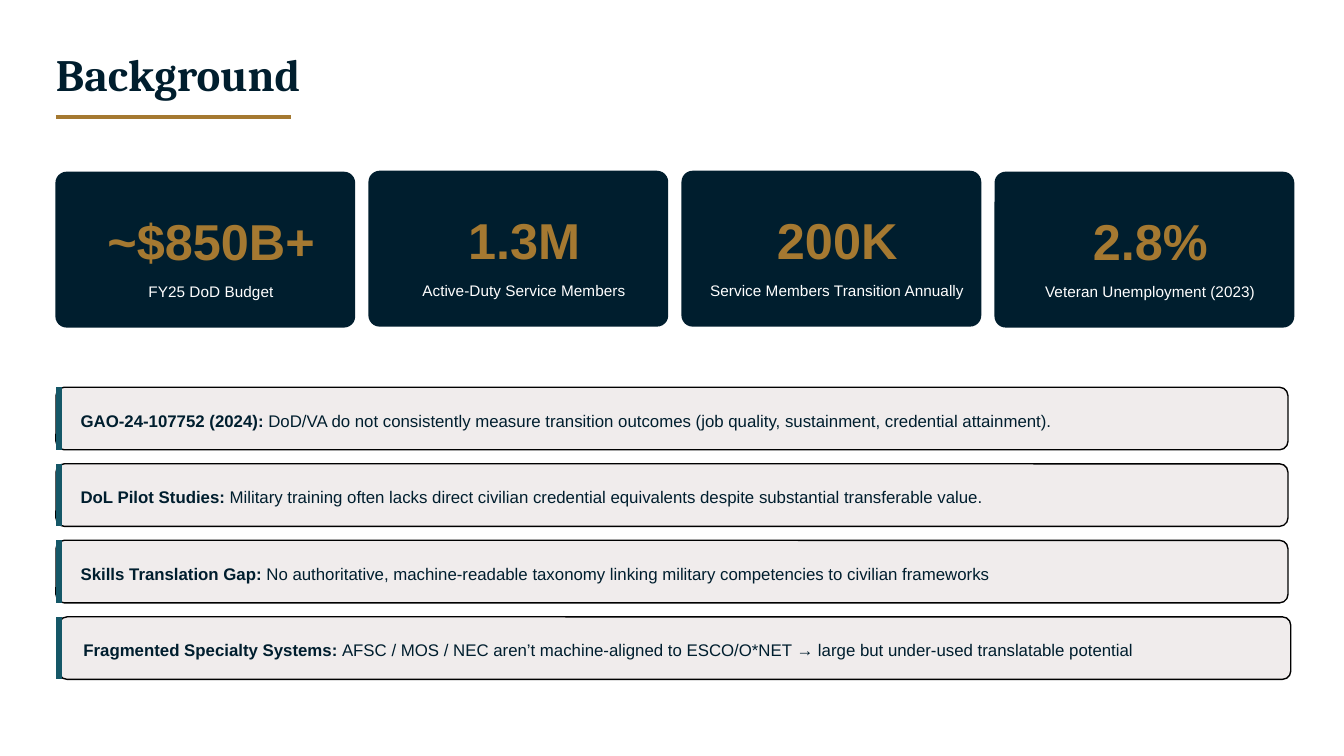
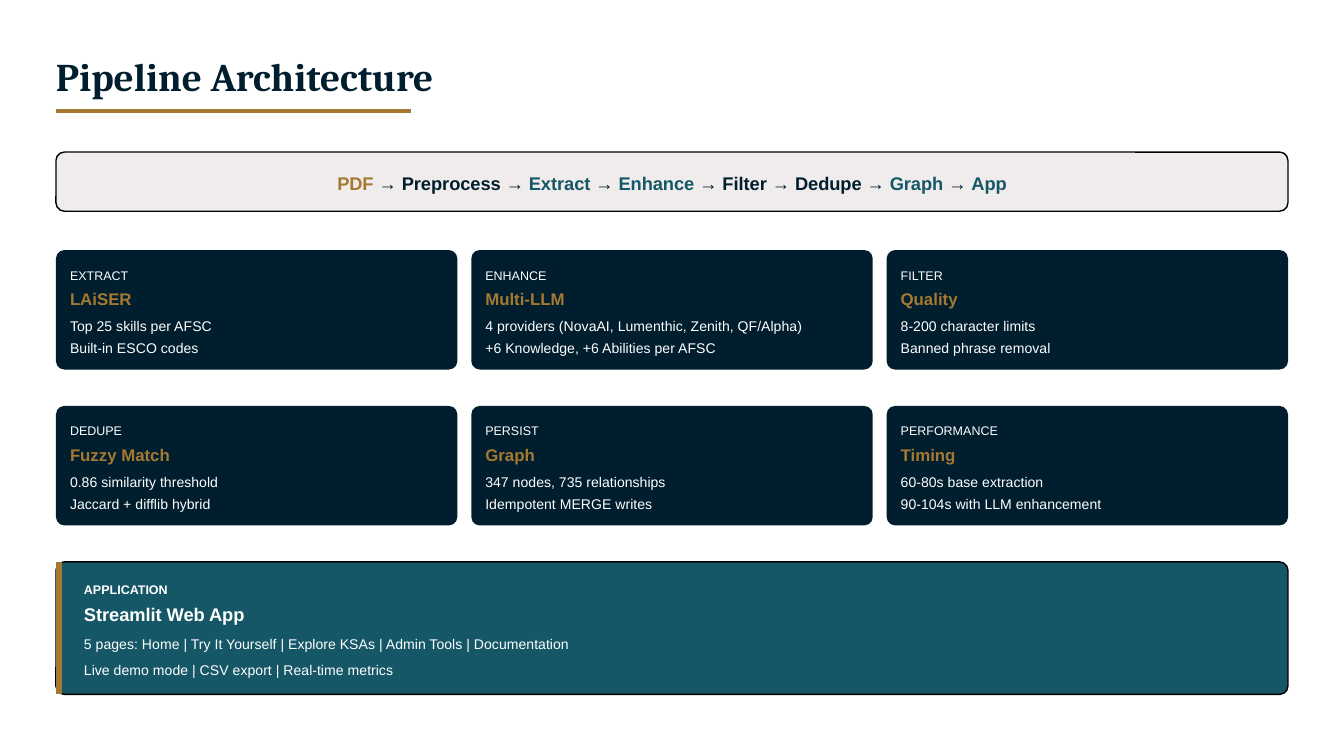
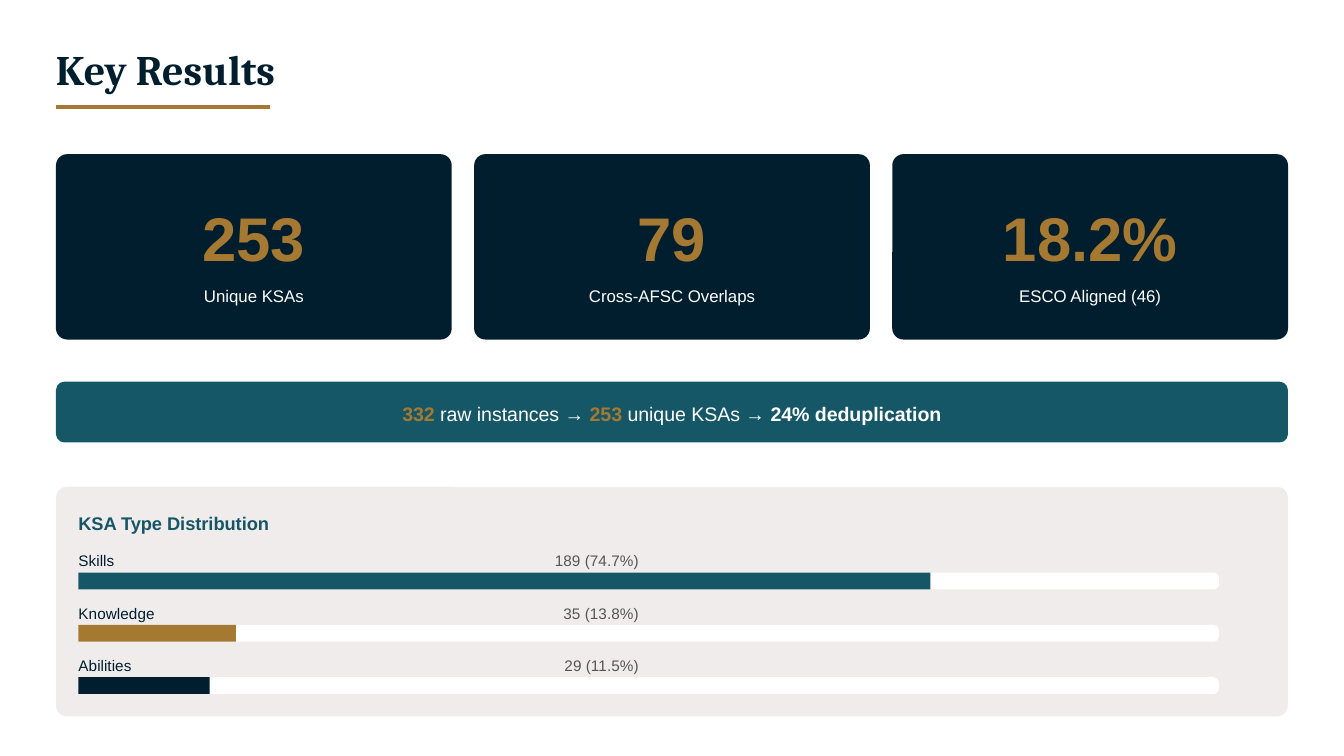
from lxml import etree
from pptx import Presentation
from pptx.dml.color import RGBColor
from pptx.enum.shapes import MSO_CONNECTOR, MSO_SHAPE
from pptx.enum.text import PP_ALIGN
from pptx.oxml.ns import qn
from pptx.util import Pt

ROUND, RECT = MSO_SHAPE.ROUNDED_RECTANGLE, MSO_SHAPE.RECTANGLE
STRAIGHT = MSO_CONNECTOR.STRAIGHT
LEFT, CENTER = PP_ALIGN.LEFT, PP_ALIGN.CENTER

COLORS = {
    "navy": "001E2E",
    "gold": "A57931",
    "teal": "155767",
    "mist": "F0ECEC",
    "white": "FFFFFF",
    "gray": "555555",
    "black": "000000",
}
MARGIN, CONTENT_W = 30, 660

STATS = [
    ("~$850B+", "FY25 DoD Budget", 92),
    ("1.3M", "Active-Duty Service Members", 91.5),
    ("200K", "Service Members Transition Annually", 91.5),
    ("2.8%", "Veteran Unemployment (2023)", 92),
]
FINDINGS = [
    ("GAO-24-107752 (2024):", " DoD/VA do not consistently measure transition outcomes "
     "(job quality, sustainment, credential attainment)."),
    ("DoL Pilot Studies:", " Military training often lacks direct civilian credential "
     "equivalents despite substantial transferable value."),
    ("Skills Translation Gap:", " No authoritative, machine-readable taxonomy linking "
     "military competencies to civilian frameworks"),
    ("Fragmented Specialty Systems: ", "AFSC / MOS / NEC aren’t machine-aligned to "
     "ESCO/O*NET → large but under-used translatable potential"),
]
FLOW = [
    ("PDF", "gold", True), (" → Preprocess → ", "navy", True), ("Extract", "teal", True),
    (" → ", "navy", True), ("Enhance", "teal", True),
    (" → Filter → Dedupe → ", "navy", True), ("Graph", "teal", True),
    (" → ", "navy", True), ("App", "teal", True),
]
STAGES = [
    ("EXTRACT", "LAiSER", "Top 25 skills per AFSC", "Built-in ESCO codes"),
    ("ENHANCE", "Multi-LLM", "4 providers (NovaAI, Lumenthic, Zenith, QF/Alpha)",
     "+6 Knowledge, +6 Abilities per AFSC"),
    ("FILTER", "Quality", "8-200 character limits", "Banned phrase removal"),
    ("DEDUPE", "Fuzzy Match", "0.86 similarity threshold", "Jaccard + difflib hybrid"),
    ("PERSIST", "Graph", "347 nodes, 735 relationships", "Idempotent MERGE writes"),
    ("PERFORMANCE", "Timing", "60-80s base extraction", "90-104s with LLM enhancement"),
]
APP_LINES = [
    ("APPLICATION", 6.75, True, 9.5),
    ("Streamlit Web App", 9.75, True, 20.2),
    ("5 pages: Home | Try It Yourself | Explore KSAs | Admin Tools | Documentation",
     7.5, False, 38.2),
    ("Live demo mode | CSV export | Real-time metrics", 7.5, False, 51.8),
]
RESULTS = [("253", "Unique KSAs"), ("79", "Cross-AFSC Overlaps"), ("18.2%", "ESCO Aligned (46)")]
DEDUPLICATION = [
    ("332", "gold", True), (" raw instances → ", "white", False), ("253", "gold", True),
    (" unique KSAs → ", "white", False), ("24% deduplication", "white", True),
]
KSA_TYPES = [
    ("Skills", "189 (74.7%)", 0.747, "teal", 297.2),
    ("Knowledge", "35 (13.8%)", 0.138, "gold", 301.8),
    ("Abilities", "29 (11.5%)", 0.115, "navy", 302.4),
]


def rgb(name):
    """Return the palette colour of that name."""
    return RGBColor.from_string(COLORS[name])


def box(s, x, y, w, h, fill, radius=0, outline=None):
    """Draw a filled rectangle, rounded by radius points."""
    sp = s.shapes.add_shape(ROUND if radius else RECT, Pt(x), Pt(y), Pt(w), Pt(h))
    sp.shadow.inherit = False
    if radius:
        sp.adjustments[0] = radius / h
    sp.fill.solid()
    sp.fill.fore_color.rgb = rgb(fill)
    if outline:
        sp.line.color.rgb = rgb(outline)
        sp.line.width = Pt(0.75)
    else:
        sp.line.fill.background()


def line(s, x1, y1, x2, y2, color, width):
    """Draw a straight line without shadow."""
    c = s.shapes.add_connector(STRAIGHT, Pt(x1), Pt(y1), Pt(x2), Pt(y2))
    c.line.color.rgb = rgb(color)
    c.line.width = Pt(width)
    etree.SubElement(c._element.spPr, qn("a:effectLst"))


def text(s, x, y, w, runs, size, align=LEFT, font="Arial", leading=1.4):
    """Place one line of (text, colour, bold) runs."""
    height = size * leading
    tf = s.shapes.add_textbox(Pt(x), Pt(y), Pt(w), Pt(height)).text_frame
    tf.margin_left = tf.margin_top = tf.margin_right = tf.margin_bottom = 0
    tf.word_wrap = True
    p = tf.paragraphs[0]
    p.alignment = align
    p.line_spacing = Pt(height)
    for content, color, bold in runs:
        r = p.add_run()
        r.text = content
        r.font.name = font
        r.font.size = Pt(size)
        r.font.bold = bold
        r.font.color.rgb = rgb(color)


def title(s, label, y, size, rule_y, rule_w):
    """Place the slide title and the gold rule below it."""
    line(s, MARGIN, rule_y, MARGIN + rule_w, rule_y, "gold", 2.25)
    text(s, MARGIN, y, 300, [(label, "navy", True)], size, font="Cambria", leading=1)


def metric_card(s, x, y, w, h, value, label, sizes, tops, text_w):
    """Draw a navy card with a large gold value over a white label."""
    box(s, x, y, w, h, "navy", 6)
    runs = [(value, "gold", True)], [(label, "white", False)]
    for run, size, top in zip(runs, sizes, tops):
        text(s, x + 13.2, y + top, text_w, run, size, CENTER)


def finding(s, x, y, w, h, lead, body):
    """Draw a finding strip with a teal edge."""
    box(s, x, y, w, h, "mist", 4.5, "black")
    line(s, 31.5, y, 31.5, y + h, "teal", 3)
    text(s, x + 13.2, y + 10.6, 648.8, [(lead, "navy", True), (body, "navy", False)], 9)


def stage_card(s, x, y, w, h, stage, name, *details):
    """Draw a pipeline stage card with its name and details."""
    box(s, x, y, w, h, "navy", 4.5)
    text(s, x + 7.5, y + 8, w - 11, [(stage, "white", False)], 6.75)
    text(s, x + 7.5, y + 19, w - 11, [(name, "gold", True)], 9)
    for i, detail in enumerate(details):
        text(s, x + 7.5, y + 34.5 + 11.8 * i, w - 11, [(detail, "white", False)], 7.5)


def app_panel(s, x, y, w, h):
    """Draw the application panel with a gold edge."""
    box(s, x, y, w, h, "teal", 4.5, "black")
    line(s, x + 1.5, y, x + 1.5, y + h, "gold", 3)
    for content, size, bold, top in APP_LINES:
        text(s, x + 15, y + top, w - 15, [(content, "white", bold)], size)


def banner(s, x, y, w, h, runs, size, fill, outline=None):
    """Draw a full-width strip with one centred line."""
    box(s, x, y, w, h, fill, 4.5, outline)
    text(s, x, y + (h - size * 1.4) / 2, w, runs, size, CENTER)


def distribution(s, x, y, w, h):
    """Draw the panel of share bars by KSA type."""
    box(s, x, y, w, h, "mist", 6)
    left, track_w, bar_h = x + 12, 611, 9
    text(s, left, y + 12, 623, [("KSA Type Distribution", "teal", True)], 9.75)
    for i, (label, value, share, color, value_x) in enumerate(KSA_TYPES):
        top = y + 33 + 28 * i
        text(s, left, top, 85, [(label, "navy", False)], 8.25)
        text(s, value_x, top, 93, [(value, "gray", False)], 8.25)
        box(s, left, top + 13, track_w, bar_h, "white", 3)
        box(s, left, top + 13, track_w * share, bar_h, color)


def background_slide(s):
    """Build the background slide."""
    title(s, "Background", 30, 24, 62.6, 126)
    for i, (value, label, y) in enumerate(STATS):
        metric_card(s, 29.7 + 167.7 * i, y, 160.6, 83.5, value, label,
                    (27, 8.25), (15, 57.3), 140.4)
    for i, (lead, body) in enumerate(FINDINGS):
        x = MARGIN + (1.5 if i == len(FINDINGS) - 1 else 0)
        finding(s, x, 207.5 + 41 * i, CONTENT_W, 33.5, lead, body)


def pipeline_slide(s):
    """Build the pipeline slide."""
    title(s, "Pipeline Architecture", 32, 21, 59.3, 190)
    banner(s, MARGIN, 81.5, CONTENT_W, 31.7, FLOW, 9.75, "mist", "black")
    for i, stage in enumerate(STAGES):
        row, col = divmod(i, 3)
        stage_card(s, MARGIN + 222.5 * col, 134 + 83.5 * row, 215, 64, *stage)
    app_panel(s, MARGIN, 301, CONTENT_W, 71)


def results_slide(s):
    """Build the results slide."""
    title(s, "Key Results", 28, 22.5, 57.5, 114.5)
    for i, (value, label) in enumerate(RESULTS):
        metric_card(s, MARGIN + 224 * i, 82.6, 212, 99.3, value, label,
                    (33, 9), (18, 68.6), 185.6)
    banner(s, MARGIN, 204.5, CONTENT_W, 32.6, DEDUPLICATION, 10.5, "teal")
    distribution(s, MARGIN, 260.8, CONTENT_W, 123)


def main():
    """Build the deck and save it."""
    prs = Presentation()
    prs.slide_width, prs.slide_height = Pt(720), Pt(405)
    for build in (background_slide, pipeline_slide, results_slide):
        build(prs.slides.add_slide(prs.slide_layouts[6]))
    prs.save("out.pptx")


if __name__ == "__main__":
    main()
